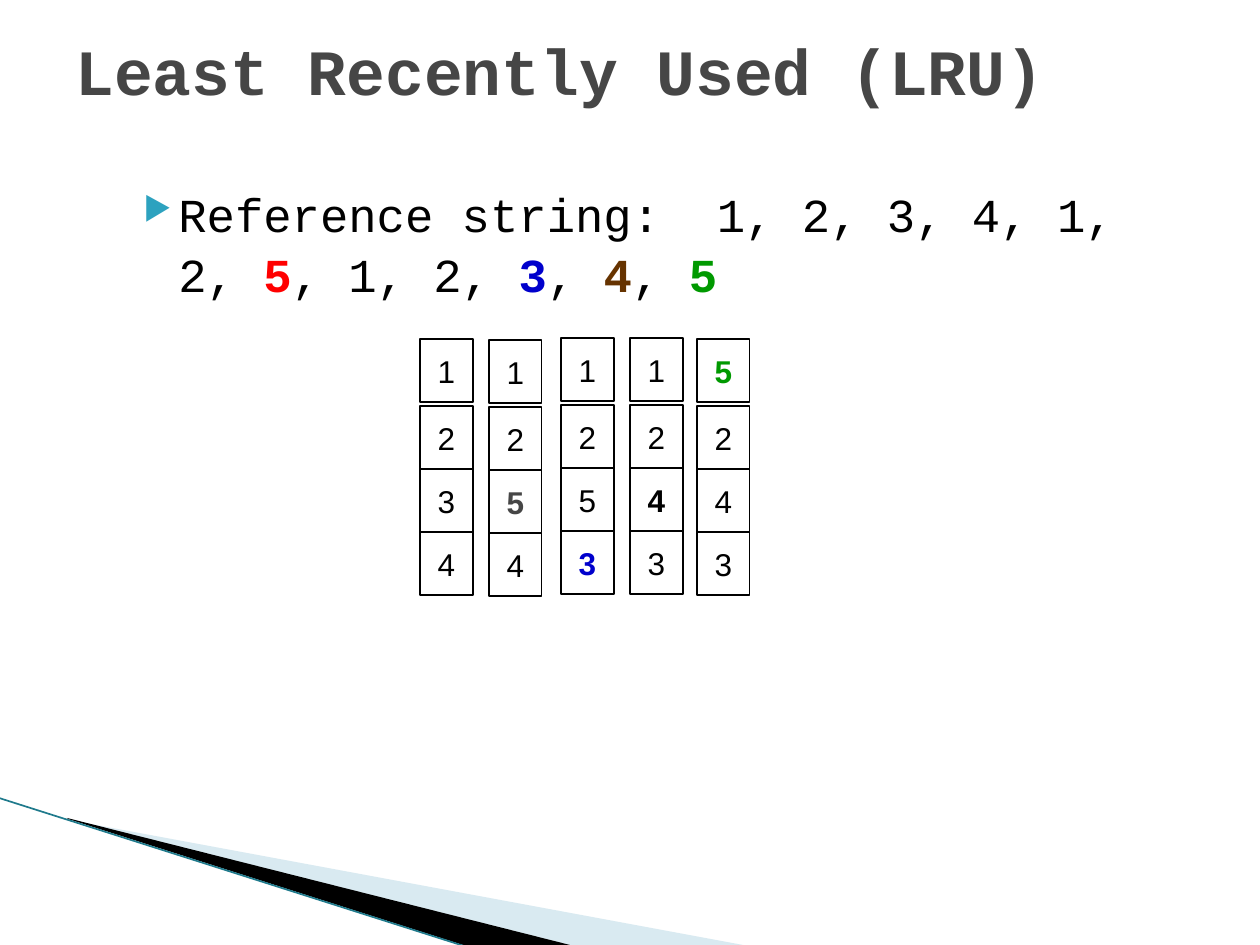
import pptx
import pptx.util
import pptx.dml.color
import pptx.enum.shapes
import pptx.enum.text
import pptx.oxml
import pptx.oxml.ns
from lxml import etree

EMU_PER_PX = 914400 // 126
BLACK, RED, BLUE, BROWN, GREEN, GRAY = (
    "000000", "FF0000", "0000CC", "663300", "009900", "464646")

REFERENCE_STRING = [
    ("Reference string:  1, 2, 3, 4, 1, 2, ", BLACK, False),
    ("5", RED, True), (", 1, 2, ", BLACK, False), ("3", BLUE, True),
    (", ", BLACK, False), ("4", BROWN, True), (", ", BLACK, False),
    ("5", GREEN, True),
]

# Each frame column: left, top, pages, row of the replaced page, its colour
FRAMES = [
    (420, 339, "1234", None, BLACK),
    (489, 340, "1254", 2, GRAY),
    (561, 338, "1253", 3, BLUE),
    (630, 338, "1243", 2, BLACK),
    (697, 339, "5243", 0, GREEN),
]
CELL_WIDTH, CELL_HEIGHT, FIRST_GAP = 53, 63, 4


def px(length):
    return pptx.util.Emu(length * EMU_PER_PX)


def color(value):
    return pptx.dml.color.RGBColor.from_string(value)


def style(span, font, size, fill, bold=False):
    span.font.name = font
    span.font.size = pptx.util.Pt(size)
    span.font.color.rgb = color(fill)
    span.font.bold = bold


def add_text_box(page, left, top, width, height):
    box = page.shapes.add_textbox(px(left), px(top), px(width), px(height))
    box.text_frame.word_wrap = True
    return box


def add_wedge(page, points, fill, alpha=None):
    builder = page.shapes.build_freeform(*points[0], scale=EMU_PER_PX)
    builder.add_line_segments(points[1:], close=True)
    wedge = builder.convert_to_shape()
    wedge.shadow.inherit = False
    wedge.fill.solid()
    wedge.fill.fore_color.rgb = color(fill)
    wedge.line.fill.background()
    if alpha is not None:
        tone = wedge.fill._xPr.find(".//" + pptx.oxml.ns.qn("a:srgbClr"))
        etree.SubElement(tone, pptx.oxml.ns.qn("a:alpha"), val=str(alpha * 1000))


def add_edge(page, start, end, stroke, width):
    edge = page.shapes.add_connector(
        pptx.enum.shapes.MSO_CONNECTOR.STRAIGHT,
        *(px(value) for value in start + end))
    edge.line.color.rgb = color(stroke)
    edge.line.width = pptx.util.Pt(width)
    etree.SubElement(edge._element.spPr, pptx.oxml.ns.qn("a:effectLst"))


def add_title(page, text):
    box = add_text_box(page, 63, 23, 1134, 93)
    box.text_frame.vertical_anchor = pptx.enum.text.MSO_ANCHOR.MIDDLE
    box.text_frame.text = text
    style(box.text_frame.paragraphs[0].runs[0], "Courier New", 36.9, GRAY, True)


def add_bullet(para, char, fill, percent):
    properties = para._p.get_or_add_pPr()
    properties.set("marL", str(px(50)))
    properties.set("indent", str(px(-35)))
    namespace = pptx.oxml.ns.nsdecls("a")
    for xml in (f'<a:buClr {namespace}><a:srgbClr val="{fill}"/></a:buClr>',
                f'<a:buSzPct {namespace} val="{percent * 1000}"/>',
                f'<a:buChar {namespace} char="{char}"/>'):
        properties.append(pptx.oxml.parse_xml(xml))


def add_body(page, spans):
    box = add_text_box(page, 116, 165, 1013, 617)
    box.text_frame.margin_top = px(16)
    para = box.text_frame.paragraphs[0]
    add_bullet(para, "▶", "2DA2BF", 68)
    para.line_spacing = 1.07
    for text, fill, bold in spans:
        span = para.add_run()
        span.text = text
        style(span, "Courier New", 27, fill, bold)


def add_cell(page, left, top, text, fill, bold):
    cell = page.shapes.add_shape(
        pptx.enum.shapes.MSO_SHAPE.RECTANGLE,
        px(left), px(top), px(CELL_WIDTH), px(CELL_HEIGHT))
    cell.shadow.inherit = False
    cell.fill.solid()
    cell.fill.fore_color.rgb = color("FFFFFF")
    cell.line.color.rgb = color(BLACK)
    cell.line.width = pptx.util.Pt(0.75)
    frame = cell.text_frame
    frame.word_wrap = False
    frame.vertical_anchor = pptx.enum.text.MSO_ANCHOR.MIDDLE
    frame.text = text
    frame.paragraphs[0].alignment = pptx.enum.text.PP_ALIGN.CENTER
    style(frame.paragraphs[0].runs[0], "Arial", 18, fill, bold)


def add_frame_column(page, left, top, pages, replaced, accent):
    for row, number in enumerate(pages):
        cell_top = top + row * CELL_HEIGHT + (FIRST_GAP if row else 0)
        changed = row == replaced
        add_cell(page, left, cell_top, number, accent if changed else BLACK, changed)


def main():
    deck = pptx.Presentation()
    deck.slide_width, deck.slide_height = px(1260), px(945)
    page = deck.slides.add_slide(deck.slide_layouts[6])

    # Corner decoration
    add_wedge(page, [(69, 820), (743, 945), (570, 945), (69, 819)], "A0CBDC", 40)
    add_wedge(page, [(67, 818), (570, 945), (463, 945), (68, 819)], BLACK)
    add_edge(page, (-1, 798), (467, 947), "1F7A8C", 0.95)

    # Heading and reference string
    add_body(page, REFERENCE_STRING)
    add_title(page, "Least Recently Used (LRU)")

    # Memory frames after each page fault
    for column in FRAMES:
        add_frame_column(page, *column)

    deck.save("out.pptx")


if __name__ == "__main__":
    main()
